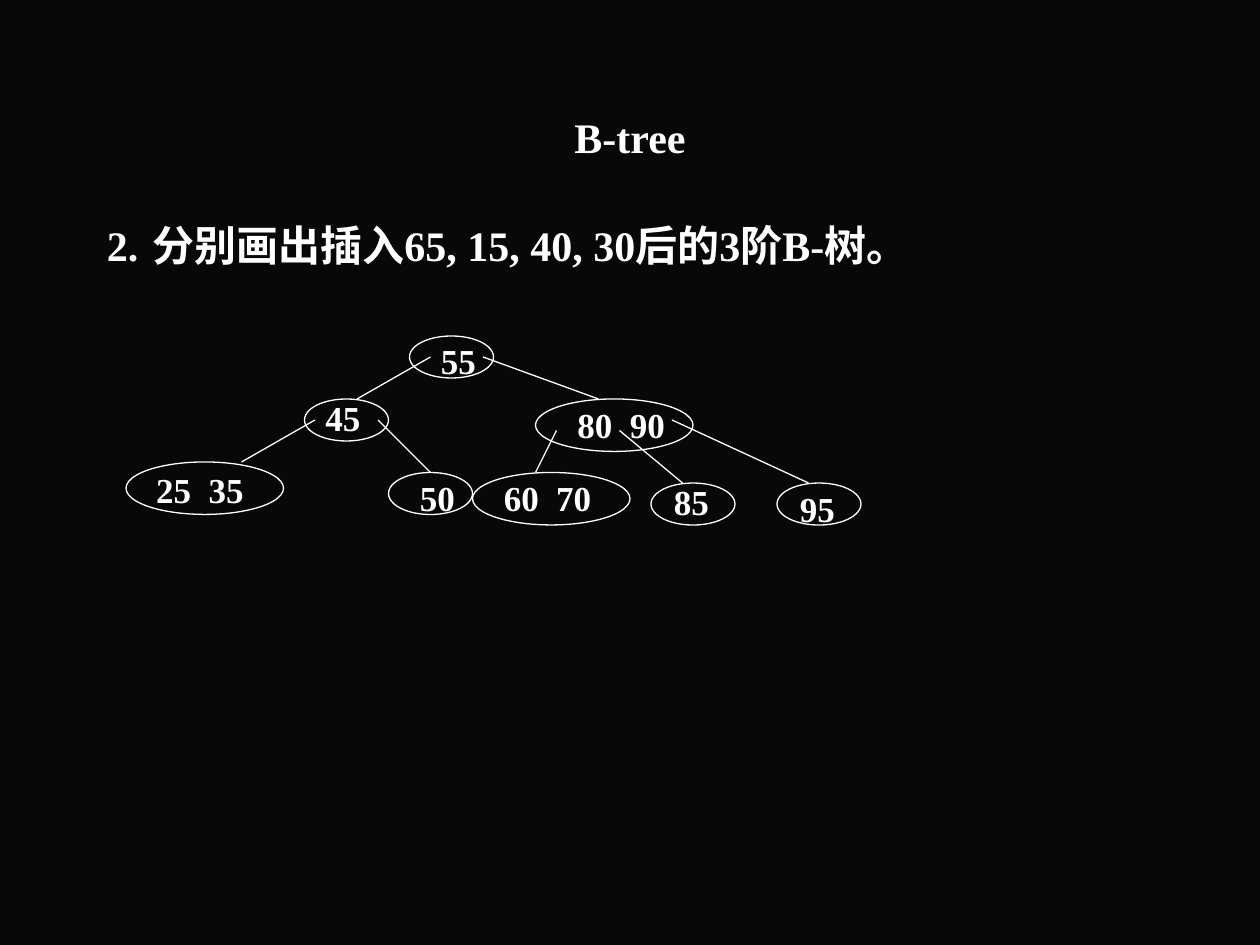
from lxml.etree import SubElement
from pptx import Presentation
from pptx.dml.color import RGBColor
from pptx.enum.shapes import MSO_CONNECTOR, MSO_SHAPE
from pptx.enum.text import MSO_ANCHOR, PP_ALIGN
from pptx.oxml.ns import qn
from pptx.util import Inches, Pt


def color(hex_string):
    return RGBColor.from_string(hex_string)


class TreeSlide:
    """Places elements on a grid of 120 columns by 90 rows."""

    font_name = "Times New Roman"
    ink = "FFFFFF"
    background = "080808"
    line_width = Pt(0.75)
    columns, rows = 120, 90

    def __init__(self, presentation):
        self.cell_width = presentation.slide_width / self.columns
        self.cell_height = presentation.slide_height / self.rows
        self.slide = presentation.slides.add_slide(presentation.slide_layouts[5])
        fill = self.slide.background.fill
        fill.solid()
        fill.fore_color.rgb = color(self.background)

    def place(self, column, row):
        return round(column * self.cell_width), round(row * self.cell_height)

    def format_run(self, run, size):
        run.font.name = self.font_name
        run.font.size = Pt(size)
        run.font.bold = True
        run.font.color.rgb = color(self.ink)

    def format_line(self, line):
        line.color.rgb = color(self.ink)
        line.width = self.line_width

    def title(self, text, column, row, width, height):
        shape = self.slide.shapes.title
        shape.left, shape.top = self.place(column, row)
        shape.width, shape.height = self.place(width, height)
        shape.text_frame.text = text
        shape.text_frame.vertical_anchor = MSO_ANCHOR.MIDDLE
        paragraph = shape.text_frame.paragraphs[0]
        paragraph.alignment = PP_ALIGN.CENTER
        self.format_run(paragraph.runs[0], 24)

    def text(self, pieces, column, row, width, height, wrap=True):
        """Each piece is a string with its size in points."""
        shape = self.slide.shapes.add_textbox(
            *self.place(column, row), *self.place(width, height))
        shape.text_frame.word_wrap = wrap
        paragraph = shape.text_frame.paragraphs[0]
        for words, size in pieces:
            run = paragraph.add_run()
            run.text = words
            self.format_run(run, size)
        return paragraph

    def node(self, column, row, keys):
        width, height = (15, 5) if len(keys) > 1 else (8, 4)
        shape = self.slide.shapes.add_shape(
            MSO_SHAPE.OVAL, *self.place(column, row), *self.place(width, height))
        shape.shadow.inherit = False
        shape.fill.background()
        self.format_line(shape.line)

    def keys(self, column, row, keys):
        width = 10.8 if len(keys) > 1 else 5.76
        paragraph = self.text([("\t".join(keys), 20)], column, row, width, 5.28, wrap=False)
        if len(keys) > 1:
            properties = paragraph._p.get_or_add_pPr()
            tabs = SubElement(properties, qn("a:tabLst"))
            SubElement(tabs, qn("a:tab"), pos=str(Pt(30)), algn="l")

    def edge(self, start, end):
        connector = self.slide.shapes.add_connector(
            MSO_CONNECTOR.STRAIGHT, *self.place(*start), *self.place(*end))
        self.format_line(connector.line)
        SubElement(connector._element.spPr, qn("a:effectLst"))


# Node corner, key label corner, keys
NODES = [
    ((39, 32), (40.8, 31.7), ["55"]),
    ((29, 38), (29.8, 37.2), ["45"]),
    ((51, 38), (53.8, 37.8), ["80", "90"]),
    ((12, 44), (13.7, 44), ["25", "35"]),
    ((37, 45), (38.8, 44.8), ["50"]),
    ((45, 45), (46.8, 44.8), ["60", "70"]),
    ((62, 46), (63, 45.2), ["85"]),
    ((74, 46), (75, 45.8), ["95"]),
]

# Parent end, child end
EDGES = [
    ((41, 34), (34, 38)),
    ((46, 34), (57, 38)),
    ((30, 40), (23, 44)),
    ((36, 40), (41, 45)),
    ((53, 41), (51, 45)),
    ((59, 41), (65, 46)),
    ((64, 40), (77, 46)),
]


def main():
    presentation = Presentation()
    presentation.slide_width, presentation.slide_height = Inches(10), Inches(7.5)
    slide = TreeSlide(presentation)

    # Title and exercise
    slide.title("B-tree", 9, 8, 102, 10)
    exercise = slide.text(
        [("2.", 24), (" ", 32), ("分别画出插入65, 15, 40, 30后的3阶B-树。", 24)],
        9, 19, 102, 8)
    properties = exercise._p.get_or_add_pPr()
    properties.set("marL", str(Inches(0.38)))
    properties.set("indent", str(-Inches(0.38)))

    # Tree
    for corner, _, keys in NODES:
        slide.node(*corner, keys)
    for _, label_corner, keys in NODES:
        slide.keys(*label_corner, keys)
    for start, end in EDGES:
        slide.edge(start, end)

    presentation.save("out.pptx")


if __name__ == "__main__":
    main()
